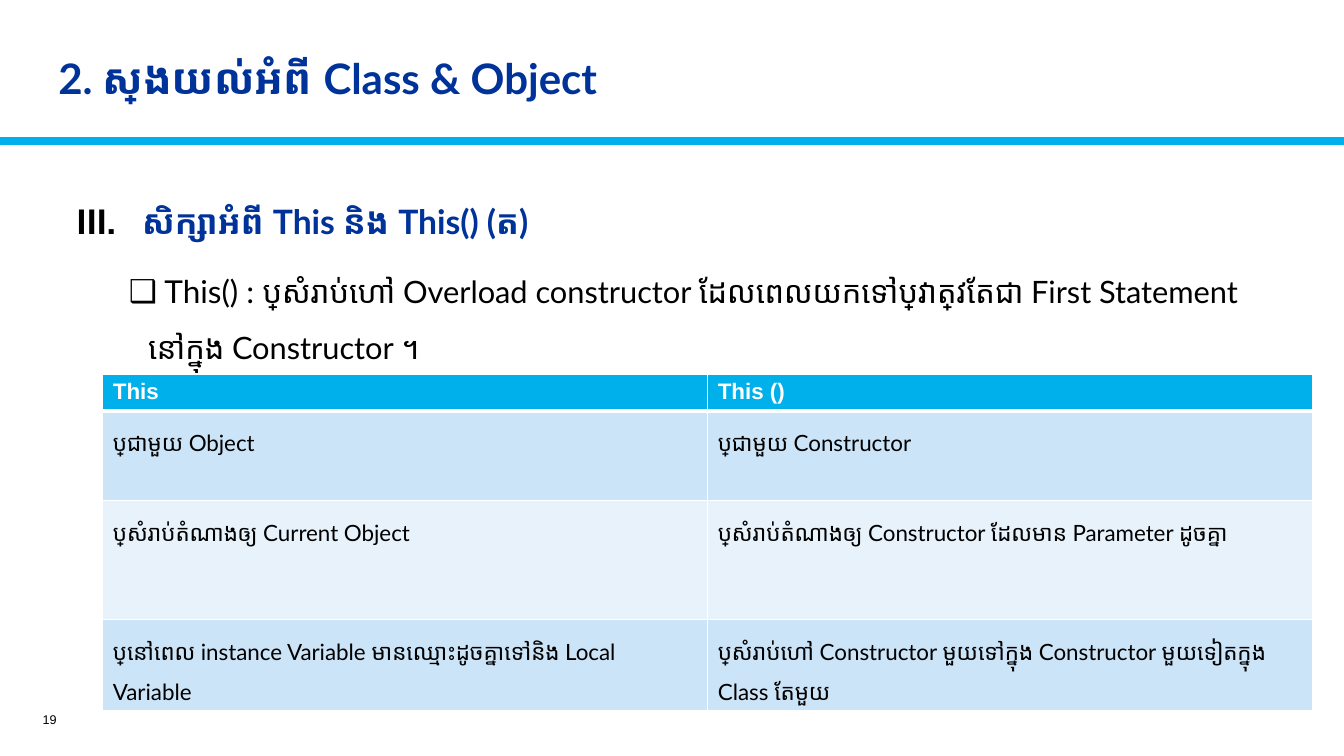
from lxml import etree
from pptx import Presentation
from pptx.dml.color import RGBColor
from pptx.enum.shapes import MSO_CONNECTOR
from pptx.enum.text import MSO_ANCHOR, PP_ALIGN
from pptx.oxml.ns import qn
from pptx.util import Inches, Pt

MIDDLE = MSO_ANCHOR.MIDDLE
RIGHT = PP_ALIGN.RIGHT
STRAIGHT = MSO_CONNECTOR.STRAIGHT

COLORS = {
    "navy": "003399",
    "sky": "00B0EA",
    "black": "000000",
    "white": "FFFFFF",
    "band_dark": "CCE4F7",
    "band_light": "E7F2FB",
}
TITLE = "2. ស្វែងយល់អំពី Class & Object"
HEADING = " សិក្សាអំពី This និង This() (ត)"
POINT = [
    (" This() : ", 22.5),
    ("ប្រើសំរាប់ហៅ Overload constructor ដែលពេលយកទៅប្រើវាត្រូវតែជា "
     "First Statement នៅក្នុង Constructor ។", 22),
]
PAGE_NUMBER = "19"
ROWS = [
    ("This", "This ()"),
    ("ប្រើជាមួយ Object", "ប្រើជាមួយ Constructor"),
    ("ប្រើសំរាប់តំណាងឲ្យ Current Object",
     "ប្រើសំរាប់តំណាងឲ្យ Constructor ដែលមាន Parameter ដូចគ្នា"),
    ("ប្រើនៅពេល instance Variable មានឈ្មោះដូចគ្នាទៅនិង Local Variable",
     "ប្រើសំរាប់ហៅ Constructor មួយទៅក្នុង Constructor មួយទៀតក្នុង Class តែមួយ"),
]
ROW_HEIGHTS = [0.34, 0.89, 1.18, 0.89]
COLUMN_WIDTH = 6.0


def rgb(name):
    return RGBColor.from_string(COLORS[name])


def add_span(para, text, size, color, bold=False, font="Lato"):
    span = para.add_run()
    span.text = text
    span.font.size = Pt(size)
    span.font.name = font
    span.font.bold = bold
    span.font.color.rgb = rgb(color)


def add_box(page, left, top, width, height, anchor=None):
    box = page.shapes.add_textbox(Inches(left), Inches(top), Inches(width), Inches(height))
    frame = box.text_frame
    frame.word_wrap = True
    if anchor is not None:
        frame.vertical_anchor = anchor
    return frame


def add_bullet(para, margin, indent, tag, **attributes):
    props = para._p.get_or_add_pPr()
    props.set("marL", str(Inches(margin)))
    props.set("indent", str(Inches(indent)))
    color = etree.SubElement(props, qn("a:buClr"))
    etree.SubElement(color, qn("a:srgbClr"), val=COLORS["black"])
    etree.SubElement(props, qn("a:buFont"), typeface="Arial")
    etree.SubElement(props, qn(tag), **attributes)


def add_borders(cell, bottom, top):
    props = cell._tc.get_or_add_tcPr()
    widths = {"a:lnL": 1, "a:lnR": 1, "a:lnT": top, "a:lnB": bottom}
    for position, (tag, width) in enumerate(widths.items()):
        line = etree.Element(qn(tag), w=str(Pt(width)))
        fill = etree.SubElement(line, qn("a:solidFill"))
        etree.SubElement(fill, qn("a:srgbClr"), val=COLORS["white"])
        props.insert(position, line)


def add_rule(page):
    rule = page.shapes.add_connector(STRAIGHT, 0, Inches(1.4), Inches(13.33), Inches(1.4))
    rule.line.color.rgb = rgb("sky")
    rule.line.width = Pt(6)
    etree.SubElement(rule._element.spPr, qn("a:effectLst"))


def add_comparison(page):
    frame = page.shapes.add_table(
        len(ROWS), len(ROWS[0]), Inches(1.02), Inches(3.71),
        Inches(COLUMN_WIDTH * len(ROWS[0])), Inches(sum(ROW_HEIGHTS)))
    table = frame.table
    for column in table.columns:
        column.width = Inches(COLUMN_WIDTH)
    for row_index, texts in enumerate(ROWS):
        table.rows[row_index].height = Inches(ROW_HEIGHTS[row_index])
        header = row_index == 0
        band = "band_dark" if row_index % 2 else "band_light"
        for column_index, text in enumerate(texts):
            cell = table.cell(row_index, column_index)
            cell.fill.solid()
            cell.fill.fore_color.rgb = rgb("sky" if header else band)
            add_borders(cell, 3 if header else 1, 3 if row_index == 1 else 1)
            para = cell.text_frame.paragraphs[0]
            if header:
                add_span(para, text, 16, "white", True, "Arial")
            else:
                para.line_spacing = 1.5
                add_span(para, text, 16, "black")


def main():
    deck = Presentation()
    deck.slide_width = Inches(13.33)
    deck.slide_height = Inches(7.5)
    page = deck.slides.add_slide(deck.slide_layouts[6])

    add_rule(page)

    title = add_box(page, 0.48, 0.39, 9.02, 0.83, MIDDLE).paragraphs[0]
    title.line_spacing = 0.9
    add_span(title, TITLE, 30, "navy", True)

    body = add_box(page, 0.66, 1.94, 12.05, 4.96)
    heading = body.paragraphs[0]
    add_bullet(heading, 0.56, -0.56, "a:buAutoNum", type="romanUcPeriod", startAt="3")
    add_span(heading, HEADING, 24, "navy", True)
    point = body.add_paragraph()
    point.line_spacing = 1.5
    point.space_before = Pt(9)
    add_bullet(point, 0.71, -0.19, "a:buChar", char="❑")
    for text, size in POINT:
        add_span(point, text, size, "black")

    number = add_box(page, 0.09, 6.99, 0.57, 0.3, MIDDLE).paragraphs[0]
    number.alignment = RIGHT
    add_span(number, PAGE_NUMBER, 9, "black", font="Arial")

    add_comparison(page)
    deck.save("out.pptx")


if __name__ == "__main__":
    main()
